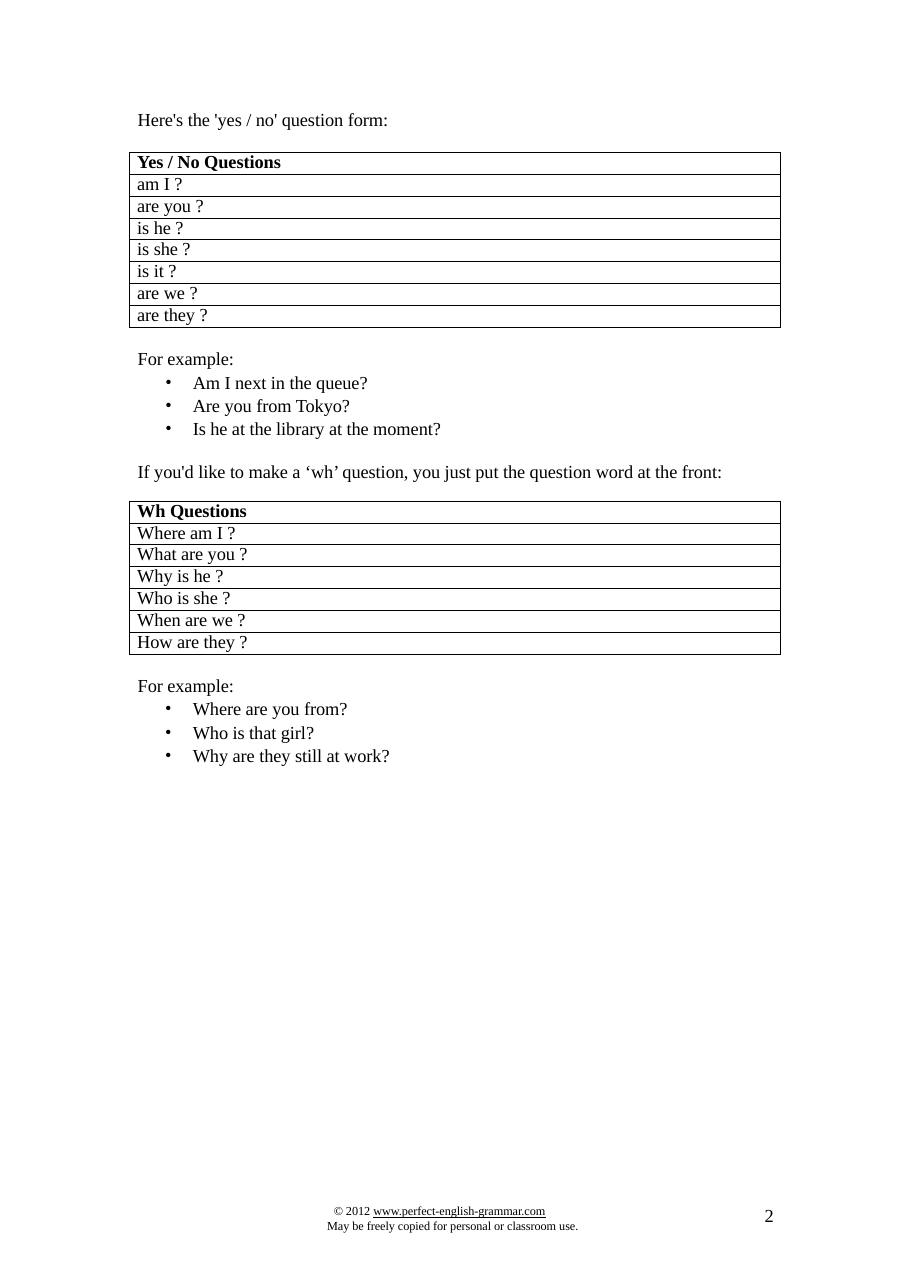
from dataclasses import dataclass

from lxml import etree
from pptx import Presentation
from pptx.dml.color import RGBColor
from pptx.oxml.ns import qn
from pptx.slide import Slide
from pptx.text.text import _Paragraph
from pptx.util import Pt


@dataclass(frozen=True)
class Theme:
    font: str = "Times New Roman"
    ink: str = "000000"
    body: float = 12
    footer: float = 8
    tracking: str = "-5"
    border: float = 0.48


@dataclass(frozen=True)
class Line:
    text: str
    margin: float = 0.72
    before: float = 0
    leading: float | None = None
    size: float = Theme.body
    bullet: bool = False
    bold: bool = False


@dataclass(frozen=True)
class TextBlock:
    left: float
    top: float
    width: float
    height: float
    lines: list[Line]


@dataclass(frozen=True)
class QuestionTable:
    top: float
    heading: str
    questions: list[str]


THEME = Theme()
PAGE_WIDTH, PAGE_HEIGHT = 594.72, 841.68
TEXT_LEFT = 89.28
TABLE_LEFT, TABLE_WIDTH, ROW_HEIGHT = 84.6, 425.5, 14.3
CELL_INDENT = 5.04
BULLET_MARGIN, BULLET_HANG = 36.72, 18
BORDER_SIDES = ("a:lnL", "a:lnR", "a:lnT", "a:lnB")
WEB_ADDRESS = "www.perfect-english-grammar.com"


def examples(*sentences: str) -> list[Line]:
    bullets = [Line(s, BULLET_MARGIN, before=0.9, bullet=True) for s in sentences]
    return [Line("For example:"), *bullets]


def footer_line(text: str, margin: float) -> Line:
    return Line(text, margin, leading=9.3, size=THEME.footer)


TEXT_BLOCKS = [
    TextBlock(213.12, 786.96, 168.5, 20, [
        footer_line("© 2012 " + WEB_ADDRESS, 5.04),
        footer_line("May be freely copied for personal or classroom use.", 0.72),
    ]),
    TextBlock(497.52, 786.96, 12, 15, [Line("2", 2.16, leading=14.1)]),
    TextBlock(TEXT_LEFT, 70.9, 168, 16, [Line("Here's the 'yes / no' question form:")]),
    TextBlock(TEXT_LEFT, 227, 389.5, 87, [
        *examples("Am I next in the queue?", "Are you from Tokyo?",
                  "Is he at the library at the moment?"),
        Line("If you'd like to make a ‘wh’ question, you just put the question word "
             "at the front:", before=13.6),
    ]),
    TextBlock(TEXT_LEFT, 440.6, 168.5, 60, examples(
        "Where are you from?", "Who is that girl?", "Why are they still at work?")),
]

TABLES = [
    QuestionTable(99.5, "Yes / No Questions", [
        "am I ?", "are you ?", "is he ?", "is she ?", "is it ?", "are we ?", "are they ?"]),
    QuestionTable(327.4, "Wh Questions", [
        "Where am I ?", "What are you ?", "Why is he ?", "Who is she ?",
        "When are we ?", "How are they ?"]),
]


def write_line(paragraph: _Paragraph, line: Line) -> None:
    properties = paragraph._p.get_or_add_pPr()
    properties.set("marL", str(Pt(line.margin)))
    properties.set("indent", str(Pt(-BULLET_HANG if line.bullet else 0)))
    if line.bullet:
        etree.SubElement(properties, qn("a:buFont")).set("typeface", THEME.font)
        etree.SubElement(properties, qn("a:buChar")).set("char", "•")
    else:
        etree.SubElement(properties, qn("a:buNone"))
    paragraph.space_before = Pt(line.before)
    if line.leading:
        paragraph.line_spacing = Pt(line.leading)

    lead, address, _ = line.text.partition(WEB_ADDRESS)
    paragraph.text = lead
    if address:
        link = paragraph.add_run()
        link.text = address
        link.font.underline = True
    for run in paragraph.runs:
        run.font.name = THEME.font
        run.font.size = Pt(line.size)
        run.font.bold = line.bold
        run.font.color.rgb = RGBColor.from_string(THEME.ink)
        run._r.get_or_add_rPr().set("spc", THEME.tracking)


def add_text_block(slide: Slide, block: TextBlock) -> None:
    box = slide.shapes.add_textbox(
        Pt(block.left), Pt(block.top), Pt(block.width), Pt(block.height))
    frame = box.text_frame
    frame.word_wrap = True
    frame.margin_left = frame.margin_right = frame.margin_top = frame.margin_bottom = 0
    for number, line in enumerate(block.lines):
        write_line(frame.add_paragraph() if number else frame.paragraphs[0], line)


def add_question_table(slide: Slide, spec: QuestionTable) -> None:
    row_count = len(spec.questions) + 1
    table = slide.shapes.add_table(
        row_count, 1, Pt(TABLE_LEFT), Pt(spec.top),
        Pt(TABLE_WIDTH), Pt(ROW_HEIGHT * row_count)).table
    table.first_row = table.horz_banding = False
    for number, question in enumerate([spec.heading, *spec.questions]):
        is_heading = number == 0
        table.rows[number].height = Pt(ROW_HEIGHT)
        cell = table.cell(number, 0)
        cell.margin_left = cell.margin_right = cell.margin_top = cell.margin_bottom = 0
        cell_properties = cell._tc.get_or_add_tcPr()
        for side in BORDER_SIDES:
            border = etree.SubElement(cell_properties, qn(side), w=str(Pt(THEME.border)))
            fill = etree.SubElement(border, qn("a:solidFill"))
            etree.SubElement(fill, qn("a:srgbClr"), val=THEME.ink)
        cell.fill.background()
        write_line(cell.text_frame.paragraphs[0], Line(
            question, CELL_INDENT, leading=13.4 if is_heading else 13.2, bold=is_heading))


def main() -> None:
    presentation = Presentation()
    presentation.slide_width = Pt(PAGE_WIDTH)
    presentation.slide_height = Pt(PAGE_HEIGHT)
    slide = presentation.slides.add_slide(presentation.slide_layouts[6])
    for block in TEXT_BLOCKS:
        add_text_block(slide, block)
    for question_table in TABLES:
        add_question_table(slide, question_table)
    presentation.save("out.pptx")


if __name__ == "__main__":
    main()
